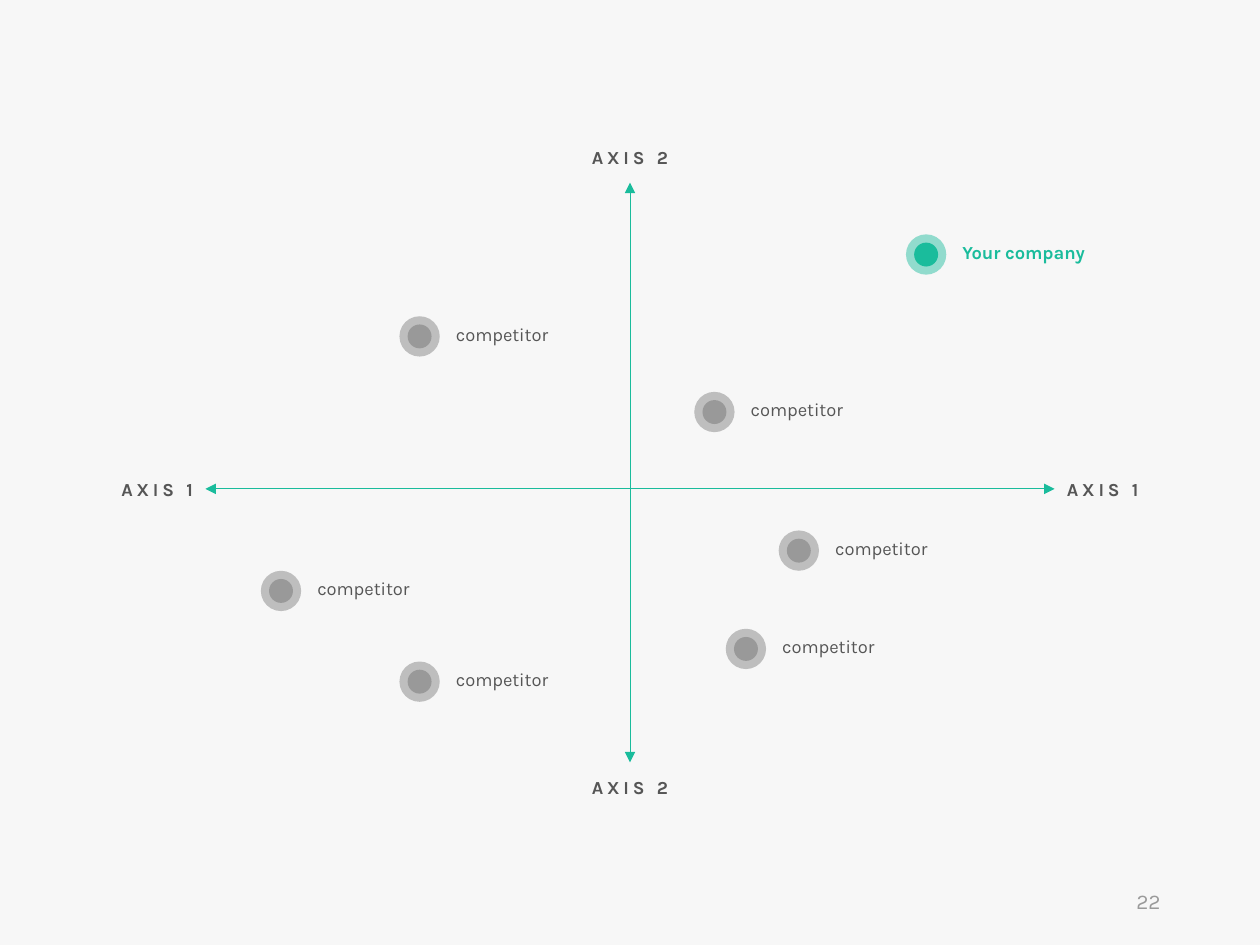
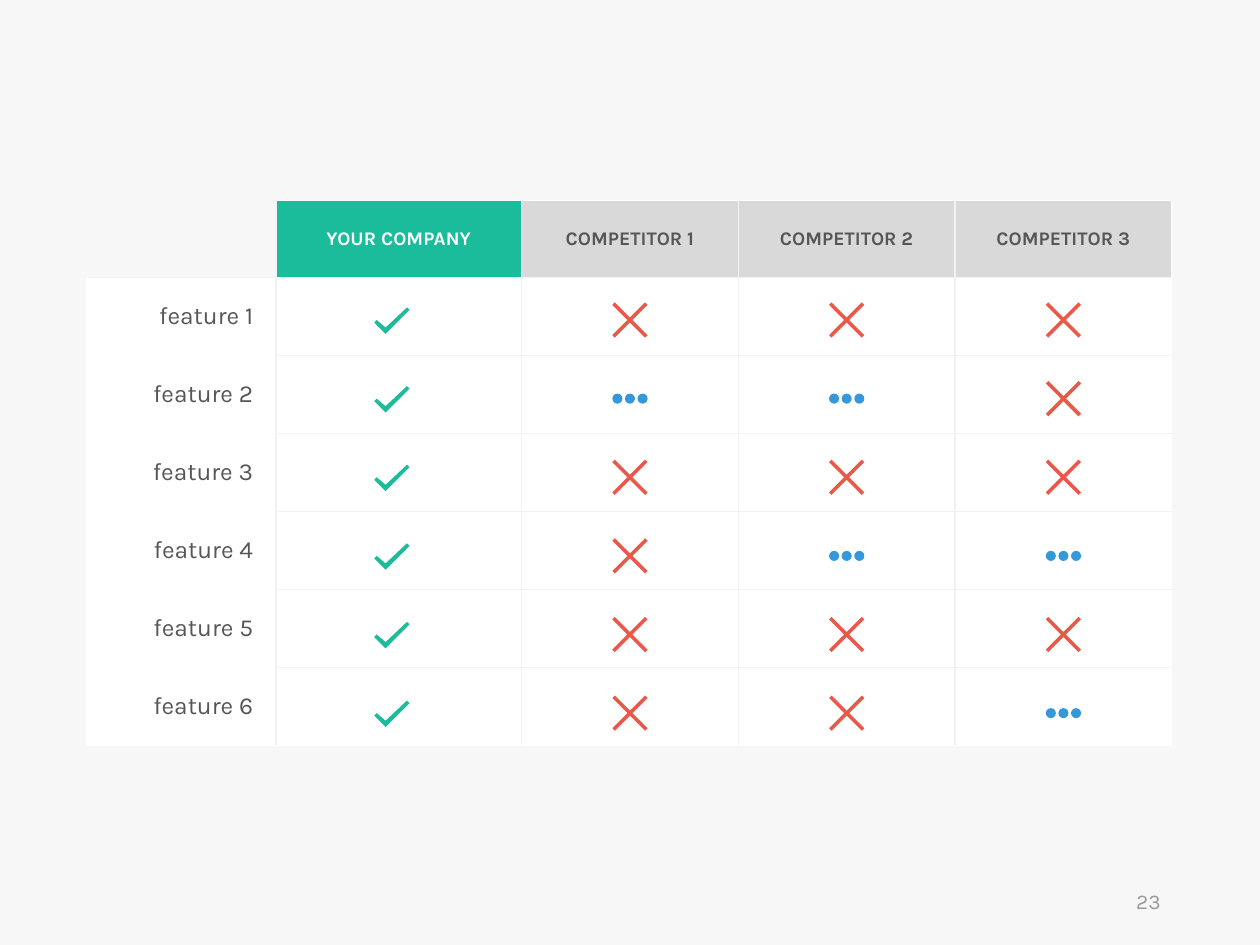
"""Builds two competition slides: a positioning map and a feature comparison table."""
import lxml.etree
import pptx
import pptx.dml.color
import pptx.enum.shapes
import pptx.enum.text
import pptx.oxml.ns
import pptx.util

Inches = pptx.util.Inches
Pt = pptx.util.Pt
qn = pptx.oxml.ns.qn
RGBColor = pptx.dml.color.RGBColor
ALIGN = pptx.enum.text.PP_ALIGN
MIDDLE = pptx.enum.text.MSO_ANCHOR.MIDDLE
OVAL = pptx.enum.shapes.MSO_SHAPE.OVAL

FONT = "Karla"
COLORS = {
    "background": "F7F7F7",
    "green": "1ABC9C",
    "text": "565656",
    "number": "9A9A9A",
    "white": "FFFFFF",
    "header": "D9D9D9",
    "grid": "F2F2F2",
    "red": "E95849",
    "blue": "3498DB",
}


def add_text(shapes, left, top, width, height, text, size, color, align=ALIGN.LEFT, bold=False):
    """Add one line of text and return its box."""
    box = shapes.add_textbox(Inches(left), Inches(top), Inches(width), Inches(height))
    box.text_frame.word_wrap = True
    box.text_frame.vertical_anchor = MIDDLE
    paragraph = box.text_frame.paragraphs[0]
    paragraph.text = text
    paragraph.alignment = align
    paragraph.font.name = FONT
    paragraph.font.size = Pt(size)
    paragraph.font.bold = bold
    paragraph.font.color.rgb = RGBColor.from_string(COLORS[color])
    return box


def paint(shape, color, opacity=100):
    """Give a shape a plain fill without line or shadow."""
    shape.shadow.inherit = False
    shape.line.fill.background()
    shape.fill.solid()
    shape.fill.fore_color.rgb = RGBColor.from_string(COLORS[color])
    if opacity < 100:
        color_element = shape.element.spPr.find(qn("a:solidFill"))[0]
        lxml.etree.SubElement(color_element, qn("a:alpha"), val=str(opacity * 1000))


presentation = pptx.Presentation()
presentation.slide_width = Inches(10)
presentation.slide_height = Inches(7.5)

slides = []
for number in ("22", "23"):
    slide = presentation.slides.add_slide(presentation.slide_layouts[6])
    slide.background.fill.solid()
    slide.background.fill.fore_color.rgb = RGBColor.from_string(COLORS["background"])
    add_text(slide.shapes, 7.06, 6.95, 2.25, 0.4, number, 12, "number", ALIGN.RIGHT)
    slides.append(slide)
map_slide, table_slide = slides

for ends in ((5, 1.45, 5, 6.05), (1.63, 3.88, 8.37, 3.88)):
    axis = map_slide.shapes.add_connector(
        pptx.enum.shapes.MSO_CONNECTOR.STRAIGHT, *[Inches(value) for value in ends]
    )
    axis.line.color.rgb = RGBColor.from_string(COLORS["green"])
    axis.line.width = Pt(0.5)
    for arrow in ("a:headEnd", "a:tailEnd"):
        lxml.etree.SubElement(axis.line._get_or_add_ln(), qn(arrow), type="triangle")
    lxml.etree.SubElement(axis.element.spPr, qn("a:effectLst"))

AXIS_LABELS = [
    (4.3, 1.11, "AXIS 2", ALIGN.CENTER),
    (4.3, 6.11, "AXIS 2", ALIGN.CENTER),
    (8.37, 3.74, "AXIS 1", ALIGN.LEFT),
    (0.23, 3.74, "AXIS 1", ALIGN.RIGHT),
]
for left, top, text, align in AXIS_LABELS:
    label = add_text(map_slide.shapes, left, top, 1.4, 0.28, text, 10.5, "text", align, True)
    label.text_frame.auto_size = pptx.enum.text.MSO_AUTO_SIZE.SHAPE_TO_FIT_TEXT
    label.text_frame.paragraphs[0].runs[0].font._element.set("spc", "220")

COMPETITOR_CENTERS = [
    (5.67, 3.27), (6.34, 4.37), (5.92, 5.15), (2.23, 4.69), (3.33, 5.41), (3.33, 2.67),
]
markers = [(7.35, 2.02, "Your company", "green", 46, 100)]
markers += [(x, y, "competitor", "text", 35, 35) for x, y in COMPETITOR_CENTERS]
for x, y, name, color, ring_opacity, core_opacity in markers:
    group = map_slide.shapes.add_group_shape()
    for diameter, opacity in ((0.32, ring_opacity), (0.19, core_opacity)):
        circle = group.shapes.add_shape(
            OVAL, Inches(x - diameter / 2), Inches(y - diameter / 2),
            Inches(diameter), Inches(diameter),
        )
        paint(circle, color, opacity)
    label = add_text(group.shapes, x + 0.19, y - 0.16, 1.4, 0.28, name, 10.5, color,
                     bold=color == "green")
    label.text_frame.auto_size = pptx.enum.text.MSO_AUTO_SIZE.SHAPE_TO_FIT_TEXT

HEADERS = ["", "YOUR COMPANY", "COMPETITOR 1", "COMPETITOR 2", "COMPETITOR 3"]
COLUMN_WIDTHS = [1.5, 1.95, 1.72, 1.72, 1.72]
ROW_HEIGHTS = [0.61] + [0.62] * 6
frame = table_slide.shapes.add_table(
    len(ROW_HEIGHTS), len(COLUMN_WIDTHS), Inches(0.69), Inches(1.59),
    Inches(sum(COLUMN_WIDTHS)), Inches(sum(ROW_HEIGHTS)),
)
table = frame.table
table.first_row = False
table.horz_banding = False
style = next(frame.element.iter(qn("a:tableStyleId")))
style.text = "{2D5ABB26-0587-4C30-8999-92F81FD0307C}"
for column, width in zip(table.columns, COLUMN_WIDTHS):
    column.width = Inches(width)

BORDER_WIDTHS = {"white": 1, "grid": 0.75}
last_row, last_column = len(ROW_HEIGHTS) - 1, len(COLUMN_WIDTHS) - 1
for row_index, height in enumerate(ROW_HEIGHTS):
    table.rows[row_index].height = Inches(height)
    is_header = row_index == 0
    for column_index, header in enumerate(HEADERS):
        cell = table.cell(row_index, column_index)
        is_name = column_index == 0
        inner = None if is_name else "grid"
        borders = {
            "a:lnL": "white" if is_name and not is_header else inner,
            "a:lnR": "white" if column_index == last_column else "grid",
            "a:lnT": "grid" if row_index == 1 else inner,
            "a:lnB": "grid" if is_header else inner,
        }
        if is_header and not is_name:
            borders["a:lnT"] = "white"
        if row_index == last_row:
            borders["a:lnB"] = "white"
        properties = cell._tc.get_or_add_tcPr()
        for side, color in borders.items():
            border = lxml.etree.SubElement(properties, qn(side))
            if color is None:
                lxml.etree.SubElement(border, qn("a:noFill"))
                continue
            border.set("w", str(Pt(BORDER_WIDTHS[color])))
            fill = lxml.etree.SubElement(border, qn("a:solidFill"))
            lxml.etree.SubElement(fill, qn("a:srgbClr"), val=COLORS[color])

        if is_header and is_name:
            cell.fill.background()
            continue
        is_company = is_header and column_index == 1
        fill_name = "green" if is_company else "header" if is_header else "white"
        cell.fill.solid()
        cell.fill.fore_color.rgb = RGBColor.from_string(COLORS[fill_name])
        if not (is_header or is_name):
            continue
        cell.vertical_anchor = MIDDLE
        cell.margin_left = Inches(0.07)
        cell.margin_right = Inches(0.07 if is_header else 0.18)
        cell.margin_top = cell.margin_bottom = Inches(0.04)
        paragraph = cell.text_frame.paragraphs[0]
        paragraph.text = header if is_header else f"feature {row_index}"
        paragraph.alignment = ALIGN.CENTER if is_header else ALIGN.RIGHT
        paragraph.font.name = FONT
        paragraph.font.size = Pt(11 if is_header else 14)
        paragraph.font.bold = is_header
        paragraph.font.color.rgb = RGBColor.from_string(COLORS["white" if is_company else "text"])

CHECK = [(0.12, -0.1), (-0.05, 0.06), (-0.12, 0), (-0.14, 0.02), (-0.05, 0.11), (0.14, -0.08)]
CROSS = [
    (0.14, -0.12), (0.12, -0.14), (0, -0.02), (-0.12, -0.14), (-0.14, -0.12), (-0.02, 0),
    (-0.14, 0.12), (-0.12, 0.14), (0, 0.02), (0.12, 0.14), (0.14, 0.12), (0.02, 0),
]
OUTLINES = {"check": (CHECK, "green"), "cross": (CROSS, "red")}
RATINGS = [
    ("check", "cross", "cross", "cross"),
    ("check", "dots", "dots", "cross"),
    ("check", "cross", "cross", "cross"),
    ("check", "cross", "dots", "dots"),
    ("check", "cross", "cross", "cross"),
    ("check", "cross", "cross", "dots"),
]
ICON_CENTERS = [3.11, 5, 6.72, 8.44]
for row_index, ratings in enumerate(RATINGS):
    y = 2.54 + 3.12 * row_index / 5
    for x, rating in zip(ICON_CENTERS, ratings):
        if rating == "dots":
            group = table_slide.shapes.add_group_shape()
            for offset in (-0.1, 0, 0.1):
                dot = group.shapes.add_shape(
                    OVAL, Inches(x + offset - 0.04), Inches(y - 0.04), Inches(0.08), Inches(0.08)
                )
                paint(dot, "blue")
            continue
        outline, color = OUTLINES[rating]
        points = [(Inches(x + dx), Inches(y + dy)) for dx, dy in outline]
        builder = table_slide.shapes.build_freeform(*points[0])
        builder.add_line_segments(points[1:], close=True)
        paint(builder.convert_to_shape(), color)

presentation.save("out.pptx")
